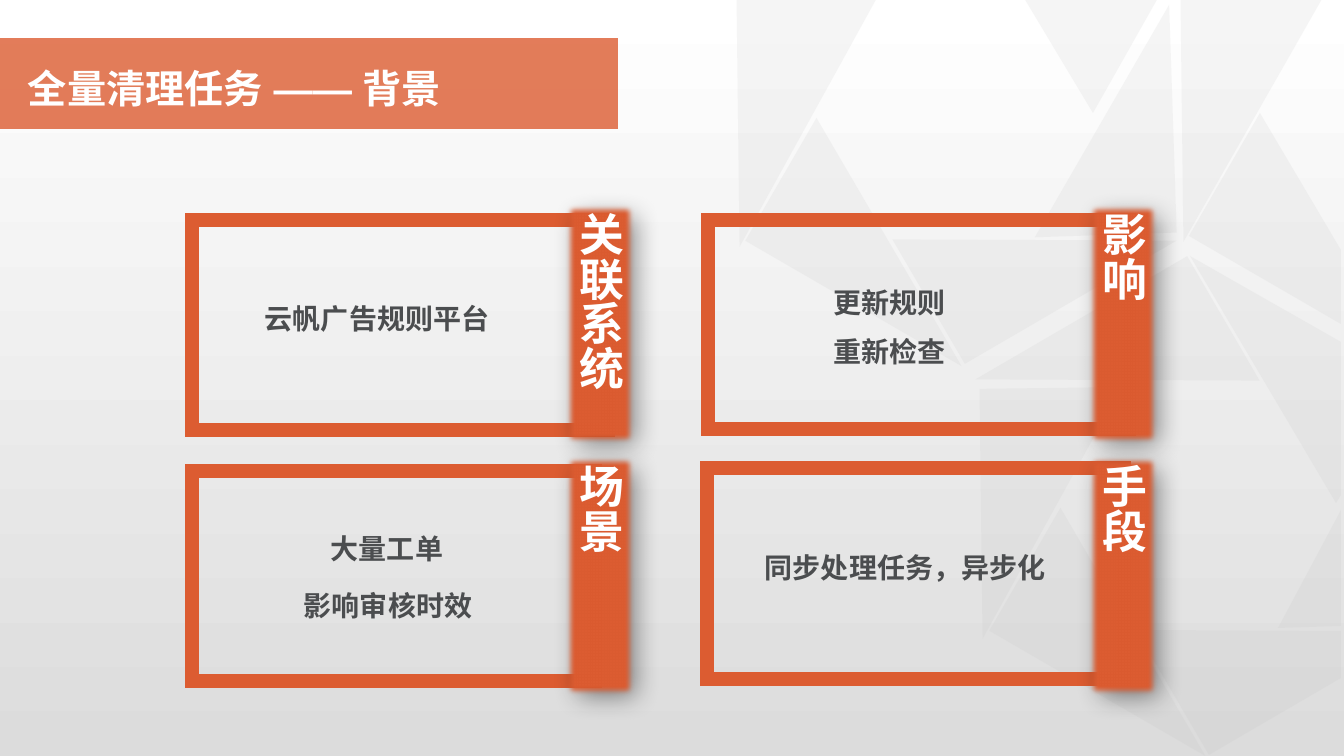
from dataclasses import dataclass
from lxml.etree import SubElement
from pptx import Presentation
from pptx.dml.color import RGBColor
from pptx.enum.shapes import MSO_SHAPE
from pptx.enum.text import MSO_AUTO_SIZE, PP_ALIGN
from pptx.oxml import parse_xml
from pptx.oxml.ns import nsdecls, qn
from pptx.util import Emu, Pt

W, H = 1344, 756


@dataclass(frozen=True)
class Theme:
    """Colours, fonts and type sizes of the slide."""
    accent: RGBColor = RGBColor.from_string("DC5C31")
    ink: RGBColor = RGBColor.from_string("4B4D4F")
    white: RGBColor = RGBColor.from_string("FFFFFF")
    shade: RGBColor = RGBColor.from_string("DCDCDC")
    facet: RGBColor = RGBColor.from_string("BFBFBF")
    title_font: str = "Arial"
    body_font: str = "Noto Sans CJK SC"
    title: int = 28
    label: int = 32
    body: int = 20
    frame: float = 10.25


T = Theme()

TRIANGLES = [
    (995, 308, 245, 144, 149.8), (927, 442, 250, 142, 89.3),
    (1008, 561, 250, 142, 30.1), (1132, 49, 242, 142, 89.3),
    (684, 50, 250, 142, 89.3), (764, 171, 250, 142, 30.1),
    (912, 168, 245, 144, 329.8), (988, 50, 228, 142, 268.1),
]
POLYGONS = [
    [(1136, 630), (1341, 631), (1341, 678), (1209, 755)],
    [(1341, 510), (1341, 626), (1278, 628)],
    [(1190, 256), (1341, 342), (1341, 495), (1336, 503)],
    [(1260, 113), (1341, 250), (1341, 324), (1189, 236)],
    [(1024, -2), (1158, -2), (1093, 113)],
]
CARDS = [
    ((192, 220, 416, 210), (563, 202), "关联系统",
     [("云帆广告规则平台", 63, 77, 279)]),
    ((708, 220, 421, 209), (1086, 202), "影响",
     [("更新规则", 116, 61, 374), ("重新检查", 116, 110, 374)]),
    ((192, 471, 403, 210), (563, 454), "场景",
     [("大量工单", 129, 56, 376), ("影响审核时效", 102, 113, 376)]),
    ((707, 468, 417, 211), (1086, 454), "手段",
     [("同步处理任务，异步化", 48, 78, 396)]),
]


def px(n):
    """Turn pixels into EMU."""
    return Emu(round(n * 914400 / 100.8))


def set_fill(sp, color, alpha=None):
    """Give a shape a plain fill, without line or shadow."""
    sp.shadow.inherit = False
    sp.line.fill.background()
    sp.fill.solid()
    sp.fill.fore_color.rgb = color
    if alpha is not None:
        clr = sp.fill._xPr.find(qn("a:solidFill"))[0]
        SubElement(clr, qn("a:alpha")).set("val", str(alpha * 1000))


def add_rect(s, box, kind=MSO_SHAPE.RECTANGLE):
    """Add a preset shape in a pixel box."""
    return s.shapes.add_shape(kind, *map(px, box))


def set_text(sp, text, size, font, color):
    """Write one bold paragraph and return it."""
    tf = sp.text_frame
    tf.word_wrap = True
    tf.auto_size = MSO_AUTO_SIZE.SHAPE_TO_FIT_TEXT
    tf.text = text
    p = tf.paragraphs[0]
    r = p.runs[0]
    r.font.size, r.font.bold, r.font.name = Pt(size), True, font
    r.font.color.rgb = color
    SubElement(r.font._element, qn("a:ea")).set("typeface", font)
    return p


def add_text(s, box, *style):
    """Add a text box in a pixel box."""
    return set_text(s.shapes.add_textbox(*map(px, box)), *style)


def background(s, box):
    """Draw the grey gradient and its translucent facets."""
    x, y, w, h = box
    sp = add_rect(s, box)
    set_fill(sp, T.white)
    sp.fill.gradient()
    sp.fill.gradient_angle = 90
    for stop, color in zip(sp.fill.gradient_stops, (T.shade, T.white)):
        stop.color.rgb = color
    for left, top, width, height, turn in TRIANGLES:
        sp = add_rect(s, (x + left, y + top, width, height),
                      MSO_SHAPE.RIGHT_TRIANGLE)
        sp.rotation = turn
        set_fill(sp, T.facet, 14)
    for points in POLYGONS:
        start, *rest = [(px(x + a), px(y + b)) for a, b in points]
        fb = s.shapes.build_freeform(*start)
        fb.add_line_segments(rest)
        set_fill(fb.convert_to_shape(), T.facet, 14)


def header(s, box, text):
    """Draw the title band and its title."""
    x, y, w, h = box
    set_fill(add_rect(s, box), T.accent, 80)
    p = add_text(s, (x + 35, y + 7, 545, 72), text, T.title, T.title_font,
                 T.white)
    p.line_spacing = 1.3


def tab(s, box, label):
    """Draw a soft-edged tab with a vertical label."""
    sp = add_rect(s, box)
    set_fill(sp, T.accent)
    pr = sp._element.spPr
    pr.remove(pr.find(qn("a:effectLst")))
    pr.append(parse_xml(
        f'<a:effectLst {nsdecls("a")}>'
        '<a:outerShdw blurRad="228600" dist="76200" dir="2700000">'
        '<a:srgbClr val="000000"><a:alpha val="44000"/></a:srgbClr>'
        '</a:outerShdw><a:softEdge rad="63500"/></a:effectLst>'))
    p = set_text(sp, label, T.label, T.body_font, T.white)
    p.alignment = PP_ALIGN.CENTER
    sp.text_frame._txBody.bodyPr.set("vert", "eaVert")


def card(s, box, tab_at, label, lines):
    """Draw a framed card with its lines and its tab."""
    x, y, w, h = box
    sp = add_rect(s, box)
    sp.shadow.inherit = False
    sp.fill.background()
    sp.line.color.rgb = T.accent
    sp.line.width = Pt(T.frame)
    SubElement(sp.line._ln, qn("a:miter")).set("lim", "800000")
    for text, dx, dy, width in lines:
        add_text(s, (x + dx, y + dy, width, 44), text, T.body, T.body_font,
                 T.ink)
    tab(s, (*tab_at, 75, 245), label)


def main():
    """Build and save the slide."""
    prs = Presentation()
    prs.slide_width, prs.slide_height = px(W), px(H)
    s = prs.slides.add_slide(prs.slide_layouts[6])
    background(s, (0, 0, W, H))
    header(s, (-17, 38, 635, 91), "全量清理任务 —— 背景")
    for spec_card in CARDS:
        card(s, *spec_card)
    prs.save("out.pptx")


if __name__ == "__main__":
    main()
